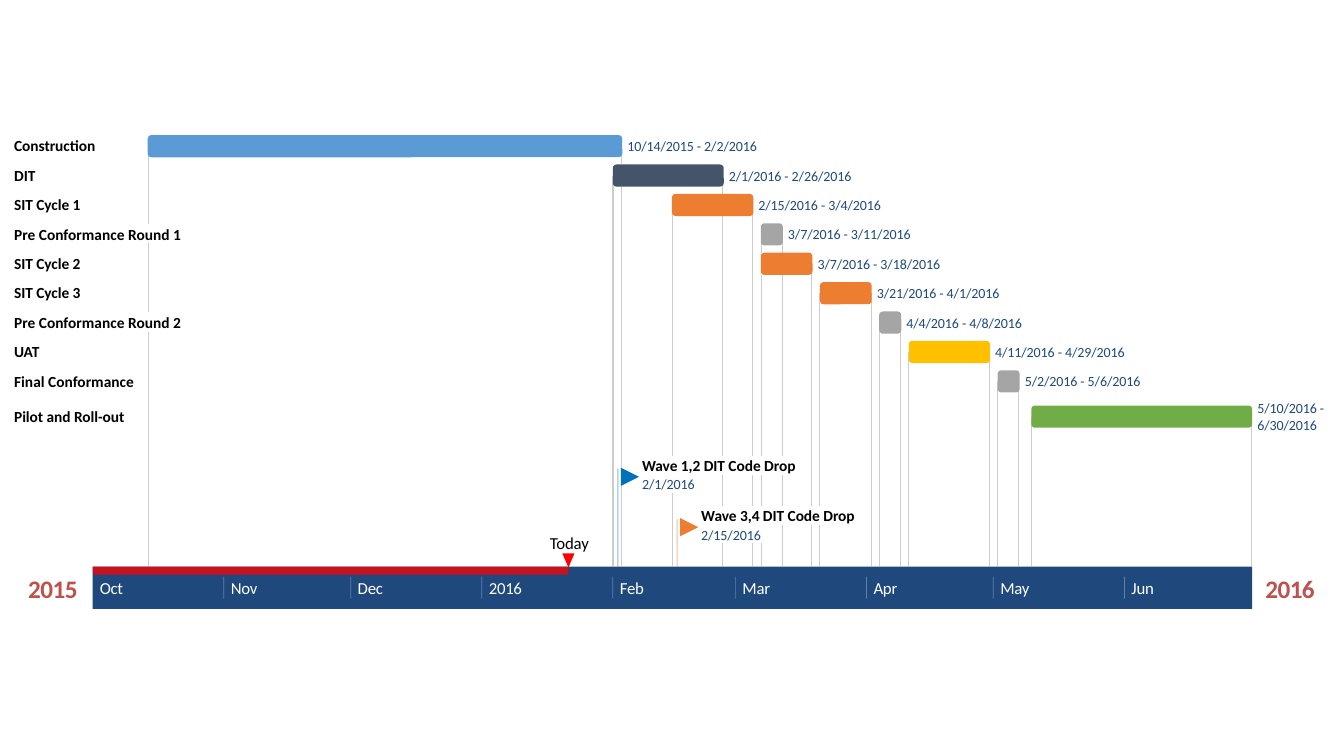
from itertools import accumulate

from pptx import Presentation
from pptx.dml.color import RGBColor
from pptx.enum.shapes import MSO_CONNECTOR, MSO_SHAPE
from pptx.enum.text import MSO_ANCHOR, PP_ALIGN
from pptx.oxml.ns import qn
from pptx.oxml.xmlchemy import OxmlElement
from pptx.util import Inches, Pt

COLORS = {
    "blue": "5B9BD5", "slate": "44546A", "orange": "ED7D31", "gray": "A5A5A5",
    "gold": "FFC000", "green": "70AD47", "flag": "0072BC", "band": "1F497D",
    "date": "1F497E", "red": "FF0000", "year": "C0504D", "guide": "CCCCCC",
    "black": "000000", "white": "FFFFFF",
}

# Font formats, with letter spacing in hundredths of a point
FORMATS = {
    "name": ({"size": Pt(11), "bold": True}, "black", -5),
    "wide name": ({"size": Pt(11), "bold": True}, "black", 0),
    "date": ({"size": Pt(10)}, "date", -5),
    "month": ({"size": Pt(12)}, "white", -20),
    "today": ({"size": Pt(12)}, "black", -10),
    "year": ({"size": Pt(18), "bold": True}, "year", -40),
}

# Time scale: one column per day, counted from 1 October
MONTHS = ["Oct", "Nov", "Dec", "2016", "Feb", "Mar", "Apr", "May", "Jun"]
MONTH_STARTS = list(accumulate([0, 31, 30, 31, 31, 29, 31, 30, 31, 30]))
BAND_LEFT, BAND_TOP, BAND_WIDTH, BAND_HEIGHT = 0.92, 5.62, 11.5, 0.42
DAY_WIDTH = 11.49 / MONTH_STARTS[-1]

# Task rows
ROWS_TOP, ROW_PITCH, BAR_HEIGHT = 1.34, 7 / 24, 0.22
NAME_LEFT, NAME_DROP, NAME_HEIGHT, DATE_HEIGHT = 0.14, 0.01, 0.19, 0.17

# Row, name, name width, dates, colour
TASKS = [
    (0, "Construction", 0.85, "10/14/2015 - 2/2/2016", "blue"),
    (1, "DIT", 0.25, "2/1/2016 - 2/26/2016", "slate"),
    (2, "SIT Cycle 1", 0.7, "2/15/2016 - 3/4/2016", "orange"),
    (3, "Pre Conformance Round 1", 1.7, "3/7/2016 - 3/11/2016", "gray"),
    (4, "SIT Cycle 2", 0.7, "3/7/2016 - 3/18/2016", "orange"),
    (5, "SIT Cycle 3", 0.7, "3/21/2016 - 4/1/2016", "orange"),
    (6, "Pre Conformance Round 2", 1.7, "4/4/2016 - 4/8/2016", "gray"),
    (7, "UAT", 0.3, "4/11/2016 - 4/29/2016", "gold"),
    (8, "Final Conformance", 1.22, "5/2/2016 - 5/6/2016", "gray"),
    (9.2, "Pilot and Roll-out", 1.15, "5/10/2016 - 6/30/2016", "green"),
]
# Top, title, date, colour
WAVES = [
    (4.52, "Wave 1,2 DIT Code Drop", "2/1/2016", "flag"),
    (5.02, "Wave 3,4 DIT Code Drop", "2/15/2016", "orange"),
]


def date_x(date, extra_days=0):
    month, day, _ = map(int, date.split("/"))
    column = MONTH_STARTS[(month - 10) % 12] + day - 1 + extra_days
    return BAND_LEFT + column * DAY_WIDTH


def task_box(row, dates):
    start, end = dates.split(" - ")
    left = date_x(start)
    return left, ROWS_TOP + row * ROW_PITCH, date_x(end, 1) - left, BAR_HEIGHT


def set_opacity(element, percent):
    for color in element.iter(qn("a:srgbClr")):
        alpha = OxmlElement("a:alpha")
        alpha.set("val", str(percent * 1000))
        color.append(alpha)


def add_label(slide, box, text, style, align=PP_ALIGN.LEFT):
    frame = slide.shapes.add_textbox(*map(Inches, box)).text_frame
    settings = {"margin_left": 0, "margin_right": 0, "margin_top": 0,
                "margin_bottom": 0, "vertical_anchor": MSO_ANCHOR.MIDDLE,
                "word_wrap": align == PP_ALIGN.LEFT}
    for key, value in settings.items():
        setattr(frame, key, value)
    paragraph = frame.paragraphs[0]
    paragraph.alignment = align
    run = paragraph.add_run()
    run.text = text
    font_format, color, spacing = FORMATS[style]
    for key, value in {"name": "Calibri", **font_format}.items():
        setattr(run.font, key, value)
    run.font.color.rgb = RGBColor.from_string(COLORS[color])
    run.font._element.set("spc", str(spacing))


def add_block(slide, kind, box, color, rotation=0, opacity=100):
    block = slide.shapes.add_shape(kind, *map(Inches, box))
    block.shadow.inherit = False
    block.rotation = rotation
    block.fill.solid()
    block.fill.fore_color.rgb = RGBColor.from_string(COLORS[color])
    block.line.fill.background()
    if opacity < 100:
        set_opacity(block._element.spPr, opacity)


def add_vertical(slide, x, top, bottom, color, width=0.75, opacity=100):
    rule = slide.shapes.add_connector(
        MSO_CONNECTOR.STRAIGHT, *map(Inches, (x, top, x, bottom)))
    rule.line.color.rgb = RGBColor.from_string(COLORS[color])
    rule.line.width = Pt(width)
    if opacity < 100:
        set_opacity(rule._element.spPr, opacity)
    rule._element.spPr.append(OxmlElement("a:effectLst"))


def wave_boxes(top, title, date):
    left = date_x(date) + 0.29
    return ((left, top, 1.57, NAME_HEIGHT),
            (left, top + 0.2, 0.07 * len(date), DATE_HEIGHT))


def add_guide(slide, x, top, covers):
    """Drop a guide line to the band, interrupted by whatever covers it."""
    for left, cover_top, width, height in covers:
        if left <= x <= left + width and cover_top > top:
            if cover_top - top > 0.02:
                add_vertical(slide, x, top, cover_top, "guide")
            top = cover_top + height
    add_vertical(slide, x, top, BAND_TOP, "guide")


def add_guides(slide):
    covers = [task_box(row, dates) for row, _, _, dates, _ in TASKS]
    covers += [(NAME_LEFT, ROWS_TOP + row * ROW_PITCH + NAME_DROP, width, NAME_HEIGHT)
               for row, _, width, _, _ in TASKS]
    for top, title, date, _ in WAVES:
        covers += wave_boxes(top, title, date)
    covers.sort(key=lambda cover: cover[1])

    # One guide per date, from the highest bar that starts or ends there
    guide_tops = {}
    for row, _, _, dates, _ in reversed(TASKS):
        left, top, width, height = task_box(row, dates)
        for x in (left + width, left):
            guide_tops[round(x, 2)] = top + height / 2
    for x, top in guide_tops.items():
        add_guide(slide, x, top, covers)


def add_band(slide):
    for year, left in (("2015", 0.28), ("2016", 12.55)):
        add_label(slide, (left, 5.68, 0.49, 0.31), year, "year", PP_ALIGN.CENTER)
    add_block(slide, MSO_SHAPE.RECTANGLE,
              (BAND_LEFT, BAND_TOP, BAND_WIDTH, BAND_HEIGHT), "band")

    # Elapsed time and today's marker
    today = date_x("1/21/2016", 0.5)
    add_block(slide, MSO_SHAPE.RECTANGLE,
              (BAND_LEFT, BAND_TOP, today - BAND_LEFT, 0.08), "red", opacity=75)
    add_block(slide, MSO_SHAPE.ISOSCELES_TRIANGLE,
              (today - 0.06, BAND_TOP - 0.13, 0.12, 0.14), "red", rotation=180)
    add_label(slide, (today - 0.19, 5.29, 0.4, 0.2), "Today", "today",
              PP_ALIGN.CENTER)

    # Months
    for month, start in zip(MONTHS, MONTH_STARTS):
        x = BAND_LEFT + start * DAY_WIDTH
        if start:
            add_vertical(slide, x, 5.72, 5.94, "white", 0.5, 30)
        add_label(slide, (x + 0.07, 5.73, 0.35, 0.2), month, "month")


def add_wave(slide, top, title, date, color):
    title_box, date_box = wave_boxes(top, title, date)
    stem = date_x(date) + 0.05
    add_vertical(slide, stem, top + 0.13, BAND_TOP, color, opacity=50)
    add_label(slide, title_box, title, "name")
    add_label(slide, date_box, date, "date")
    add_block(slide, MSO_SHAPE.FLOWCHART_MERGE,
              (stem + 0.03, top + 0.12, 0.18, 0.18), color, rotation=270)


def add_task(slide, row, name, name_width, dates, color):
    left, top, width, height = task_box(row, dates)
    add_block(slide, MSO_SHAPE.ROUNDED_RECTANGLE,
              (left, top, width + 0.01, height), color)
    date_left = left + width + 0.06
    wraps = date_left > BAND_LEFT + BAND_WIDTH
    date_size = (0.74, 2 * DATE_HEIGHT) if wraps else (1.35, DATE_HEIGHT)
    date_top = top + (height - date_size[1]) / 2
    add_label(slide, (date_left, date_top, *date_size), dates, "date")
    style = "wide name" if "Conformance" in name else "name"
    add_label(slide, (NAME_LEFT, top + NAME_DROP, name_width, NAME_HEIGHT), name, style)


def main():
    deck = Presentation()
    deck.slide_width, deck.slide_height = Inches(13.33), Inches(7.5)
    slide = deck.slides.add_slide(deck.slide_layouts[6])
    add_guides(slide)
    add_band(slide)
    for wave in WAVES:
        add_wave(slide, *wave)
    for task in TASKS:
        add_task(slide, *task)
    deck.save("out.pptx")


if __name__ == "__main__":
    main()
